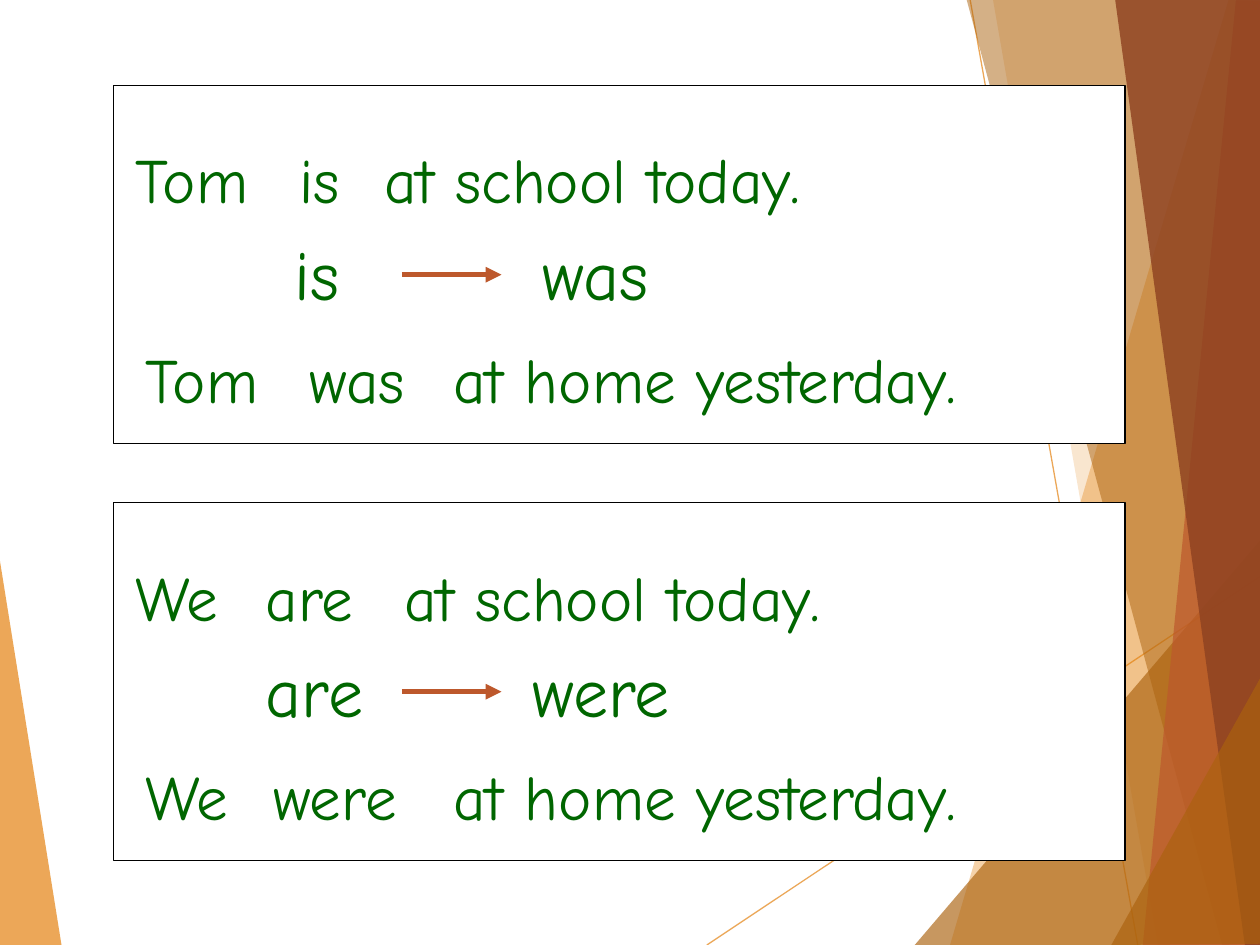
from lxml import etree
from pptx import Presentation
from pptx.dml.color import RGBColor
from pptx.enum.shapes import MSO_CONNECTOR, MSO_SHAPE
from pptx.enum.text import MSO_AUTO_SIZE
from pptx.oxml.ns import qn
from pptx.util import Inches, Pt

FONT = "Comic Neue"
GREEN, ORANGE, BROWN, RUST = "006600", "E48312", "AB620E", "BD582C"

# Background, back to front: colour, opacity in percent, corner points
LEFT_WEDGE = (ORANGE, 70, [(-0.01, 4.39), (0.49, 7.51), (-0.01, 7.5)])
THIN_LINES = [((5.61, 7.5), (10.01, 4.57)), ((7.7, 0), (9.03, 7.5))]
RIGHT_FACETS = [
    (ORANGE, 36, [(9.75, 0), (7.54, 7.5), (10.02, 7.51), (10.01, 0.01)]),
    (ORANGE, 20, [(7.88, -0.01), (9.19, 7.5), (10.01, 7.5), (10.01, -0.01)]),
    (BROWN, 66, [(7.26, 7.5), (10, 4.29), (10.01, 7.5)]),
    (BROWN, 50, [(7.67, -0.01), (9.7, 7.5), (10.01, 7.49), (10.01, -0.01)]),
    (RUST, 70, [(9.81, -0.01), (9.07, 7.5), (10.01, 7.5), (10, -0.01)]),
    ("8E4221", 82, [(8.85, -0.01), (9.88, 7.5), (10.02, 7.5), (10, -0.01)]),
    (BROWN, 66, [(8.82, 7.5), (10.02, 5.35), (10.02, 7.49)]),
]

# Each panel: rows of (text, left, width, wrap)
PANELS = [
    {
        "today": [("Tom", 0.98, 1.26, True), ("at school today.", 2.95, 4.49, True),
                  ("is", 2.28, 0.52, False)],
        "change": [("is", 2.24, 0.71, True), ("was", 4.21, 1.58, True)],
        "yesterday": [("Tom", 1.06, 1.26, True), ("at home yesterday.", 3.5, 4.88, True),
                      ("was", 2.36, 0.96, False)],
    },
    {
        "today": [("We", 0.98, 1.26, True), ("at school today.", 3.11, 4.49, True),
                  ("are", 2.01, 1.18, True)],
        "change": [("are", 2.01, 1.1, True), ("were", 4.13, 1.58, True)],
        "yesterday": [("We", 1.06, 1.26, True), ("at home yesterday.", 3.5, 4.88, True),
                      ("were", 2.07, 1.2, False)],
    },
]
PANEL_LEFT, PANEL_TOP, PANEL_W, PANEL_H, PANEL_STEP = 0.9, 0.68, 8.03, 2.84, 3.31
# Offset from panel top, box height, text size
ROWS = {"today": (0.39, 0.7, 36), "change": (1.1, 0.77, 40), "yesterday": (1.97, 0.7, 36)}
ARROW_LEFT, ARROW_RIGHT, ARROW_OFFSET = 3.19, 3.98, 1.5


def set_color(color_format, hex_color, opacity=100):
    color_format.rgb = RGBColor.from_string(hex_color)
    if opacity < 100:
        clr = color_format._xFill.find(qn("a:srgbClr"))
        etree.SubElement(clr, qn("a:alpha"), val=str(opacity * 1000))


def fill_shape(sp, hex_color, opacity=100):
    sp.shadow.inherit = False
    sp.fill.solid()
    set_color(sp.fill.fore_color, hex_color)
    if opacity < 100:
        clr = sp._element.spPr.find(qn("a:solidFill")).find(qn("a:srgbClr"))
        etree.SubElement(clr, qn("a:alpha"), val=str(opacity * 1000))


def add_facet(shapes, hex_color, opacity, points):
    start, *rest = [(Inches(x), Inches(y)) for x, y in points]
    builder = shapes.build_freeform(*start)
    builder.add_line_segments(rest, close=True)
    sp = builder.convert_to_shape()
    fill_shape(sp, hex_color, opacity)
    sp.line.fill.background()


def add_line(shapes, start, end, hex_color, width, opacity=100, arrow=False):
    line = shapes.add_connector(MSO_CONNECTOR.STRAIGHT, *map(Inches, start + end))
    line.line.width = Pt(width)
    line.line.fill.solid()
    line.line.color.rgb = RGBColor.from_string(hex_color)
    ln = line.line._get_or_add_ln()
    if opacity < 100:
        clr = ln.find(qn("a:solidFill")).find(qn("a:srgbClr"))
        etree.SubElement(clr, qn("a:alpha"), val=str(opacity * 1000))
    if arrow:
        etree.SubElement(ln, qn("a:tailEnd"), type="triangle")
    etree.SubElement(line._element.spPr, qn("a:effectLst"))


def add_words(shapes, text, left, top, width, height, size, wrap):
    tf = shapes.add_textbox(*map(Inches, (left, top, width, height))).text_frame
    tf.word_wrap = wrap
    tf.auto_size = MSO_AUTO_SIZE.SHAPE_TO_FIT_TEXT
    tf.text = text
    font = tf.paragraphs[0].runs[0].font
    font.name, font.size = FONT, Pt(size)
    set_color(font.color, GREEN)


def add_panel(shapes, panel, top):
    box = shapes.add_shape(MSO_SHAPE.RECTANGLE,
                           *map(Inches, (PANEL_LEFT, top, PANEL_W, PANEL_H)))
    fill_shape(box, "FFFFFF")
    set_color(box.line.color, "000000")
    box.line.width = Pt(0.75)
    for row, words in panel.items():
        offset, height, size = ROWS[row]
        for text, left, width, wrap in words:
            add_words(shapes, text, left, top + offset, width, height, size, wrap)
    y = top + ARROW_OFFSET
    add_line(shapes, (ARROW_LEFT, y), (ARROW_RIGHT, y), RUST, 3, arrow=True)


def main():
    prs = Presentation()
    prs.slide_width, prs.slide_height = Inches(10), Inches(7.5)
    shapes = prs.slides.add_slide(prs.slide_layouts[6]).shapes
    add_facet(shapes, *LEFT_WEDGE)
    for start, end in THIN_LINES:
        add_line(shapes, start, end, ORANGE, 0.75, opacity=70)
    for facet in RIGHT_FACETS:
        add_facet(shapes, *facet)
    for i, panel in enumerate(PANELS):
        add_panel(shapes, panel, PANEL_TOP + i * PANEL_STEP)
    prs.save("out.pptx")


if __name__ == "__main__":
    main()
